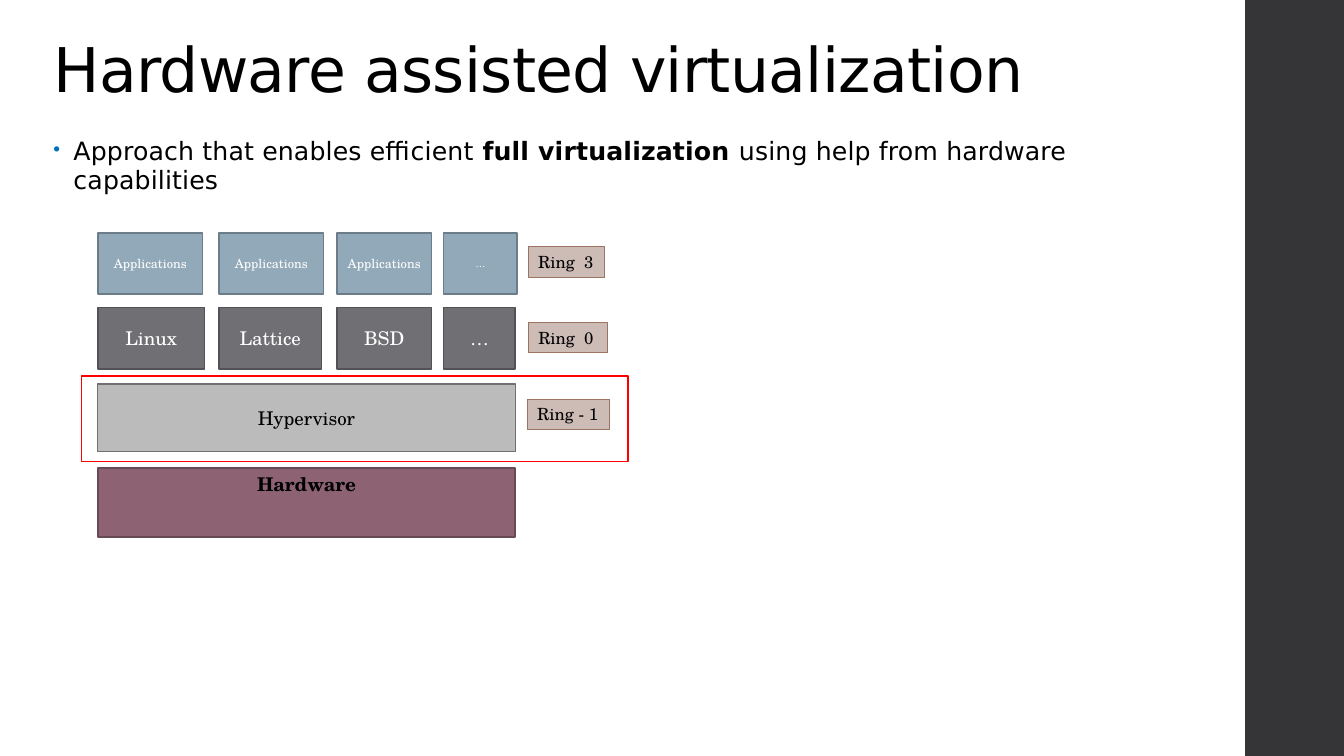
from lxml.etree import SubElement
from pptx import Presentation
from pptx.dml.color import RGBColor
from pptx.enum.shapes import MSO_SHAPE
from pptx.enum.text import MSO_ANCHOR, MSO_AUTO_SIZE, PP_ALIGN
from pptx.oxml.ns import qn
from pptx.util import Pt

PX = 9144  # EMU per px, 100 px to the inch
SANS = "DejaVu Sans"
SERIF = "TeX Gyre Schola"

BLACK = RGBColor(0x00, 0x00, 0x00)
WHITE = RGBColor(0xFF, 0xFF, 0xFF)
CHARCOAL = RGBColor(0x35, 0x35, 0x37)
RED = RGBColor(0xFF, 0x00, 0x00)
BULLET_BLUE = RGBColor(0x00, 0x70, 0xC0)
PLUM = RGBColor(0x8D, 0x63, 0x74)
PLUM_EDGE = RGBColor(0x68, 0x49, 0x56)
SILVER = RGBColor(0xBB, 0xBB, 0xBC)
GRAY = RGBColor(0x6F, 0x6F, 0x74)
GRAY_EDGE = RGBColor(0x52, 0x52, 0x56)
STEEL = RGBColor(0x92, 0xA9, 0xB9)
STEEL_EDGE = RGBColor(0x6C, 0x7D, 0x89)
SAND = RGBColor(0xCD, 0xBB, 0xB5)
SAND_EDGE = RGBColor(0x9B, 0x73, 0x62)

COLUMN_LEFTS = (0, 120, 237, 343)
STACK_WIDTH = 414


def emu(*lengths):
    return [length * PX for length in lengths]


def set_font(font, name, size, color, bold=None):
    font.name = name
    font.size = Pt(size)
    font.color.rgb = color
    font.bold = bold


def add_block(slide, box, fill, edge=None, edge_width=1.1):
    block = slide.shapes.add_shape(MSO_SHAPE.RECTANGLE, *emu(*box))
    block.shadow.inherit = False
    block.fill.solid()
    block.fill.fore_color.rgb = fill
    if edge is None:
        block.line.fill.background()
    else:
        block.line.color.rgb = edge
        block.line.width = Pt(edge_width)
    return block


def label(block, text, size, color=BLACK, bold=None,
          anchor=MSO_ANCHOR.MIDDLE, align=PP_ALIGN.CENTER, wrap=True):
    frame = block.text_frame
    frame.word_wrap = wrap
    frame.vertical_anchor = anchor
    para = frame.paragraphs[0]
    para.text = text
    para.alignment = align
    set_font(para.font, SERIF, size, color, bold)


def add_span(para, text, spacing, bold=None):
    """Add a run whose letter spacing is in hundredths of a point."""
    span = para.add_run()
    span.text = text
    span.font.bold = bold
    span.font._element.set("spc", str(spacing))


def add_title(slide, box):
    title = slide.shapes.title
    title.left, title.top, title.width, title.height = emu(*box)
    frame = title.text_frame
    frame.word_wrap = True
    frame.auto_size = MSO_AUTO_SIZE.NONE
    frame.vertical_anchor = MSO_ANCHOR.BOTTOM
    para = frame.paragraphs[0]
    para.alignment = PP_ALIGN.LEFT
    para.line_spacing = 0.9
    add_span(para, "Hardware assisted virtualization", -50)
    set_font(para.font, SANS, 44, BLACK)


def add_body(slide, box):
    frame = slide.shapes.add_textbox(*emu(*box)).text_frame
    frame.word_wrap = True
    para = frame.paragraphs[0]
    para.line_spacing = 0.95
    para.space_after = Pt(2)
    properties = para._p.get_or_add_pPr()
    properties.set("marL", str(20 * PX))
    properties.set("indent", str(-20 * PX))
    bullet_color = SubElement(properties, qn("a:buClr"))
    SubElement(bullet_color, qn("a:srgbClr")).set("val", str(BULLET_BLUE))
    SubElement(properties, qn("a:buSzPct")).set("val", "80000")
    SubElement(properties, qn("a:buChar")).set("char", "•")
    add_span(para, "Approach that enables efficient ", 10)
    add_span(para, "full virtualization ", 10, True)
    add_span(para, "using help from hardware capabilities", 10)
    set_font(para.font, SANS, 18, BLACK)


def add_layer(slide, left, top, widths, names, sizes, fill, edge):
    """Place one row of equal-height blocks on the shared columns."""
    for offset, width, name, size in zip(COLUMN_LEFTS, widths, names, sizes):
        block = add_block(slide, (left + offset, top, width, 61), fill, edge)
        label(block, name, size, WHITE)


def add_stack(slide, left, top):
    """Draw the layers from applications down to hardware."""
    add_block(slide, (left - 16, top + 142, 542, 85), WHITE, RED)

    hardware = add_block(slide, (left, top + 233, STACK_WIDTH, 69),
                         PLUM, PLUM_EDGE)
    label(hardware, "Hardware", 13.5, bold=True, anchor=MSO_ANCHOR.TOP)
    hypervisor = add_block(slide, (left, top + 150, STACK_WIDTH, 67),
                           SILVER, GRAY, 0.75)
    label(hypervisor, "Hypervisor", 13.5)

    add_layer(slide, left, top + 74, (106, 102, 94, 71),
              ("Linux", "Lattice", "BSD", "…"), (13.5,) * 4, GRAY, GRAY_EDGE)
    add_layer(slide, left, top, (104, 104, 94, 73),
              ("Applications",) * 3 + ("…",), (9, 9, 9, 7),
              STEEL, STEEL_EDGE)

    rings = (("Ring  3", 427, 14, 76), ("Ring  0", 427, 89, 79),
             ("Ring - 1", 426, 165, 82))
    for name, offset, drop, width in rings:
        tag = add_block(slide, (left + offset, top + drop, width, 30),
                        SAND, SAND_EDGE, 0.75)
        label(tag, name, 12, anchor=MSO_ANCHOR.TOP, align=PP_ALIGN.LEFT,
              wrap=False)


def main():
    deck = Presentation()
    deck.slide_width, deck.slide_height = emu(1333, 750)
    slide = deck.slides.add_slide(deck.slide_layouts[5])
    add_block(slide, (1235, 0, 98, 750), CHARCOAL)
    add_title(slide, (43, 22, 1155, 88))
    add_body(slide, (43, 132, 1155, 583))
    add_stack(slide, 97, 231)
    deck.save("out.pptx")


if __name__ == "__main__":
    main()
